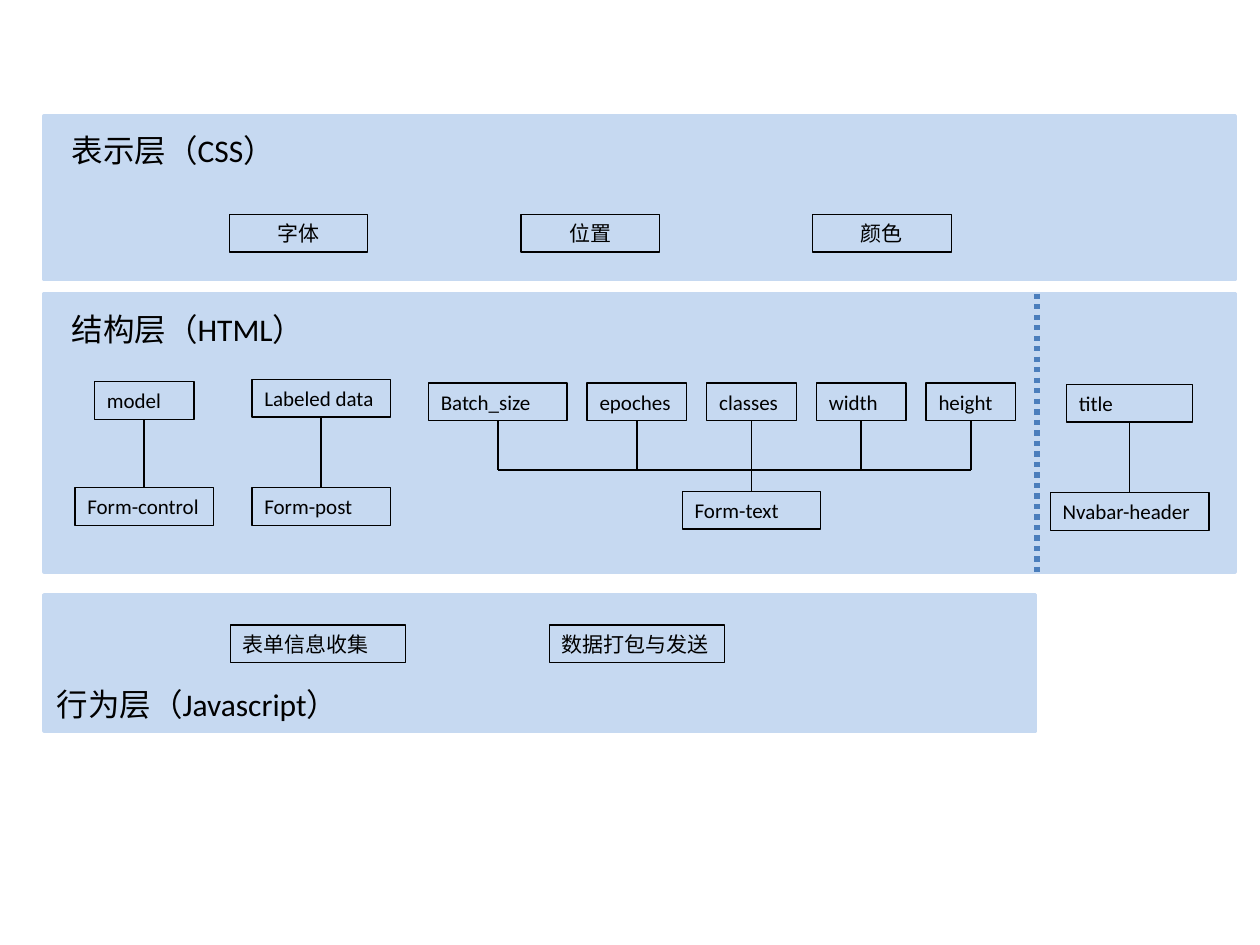
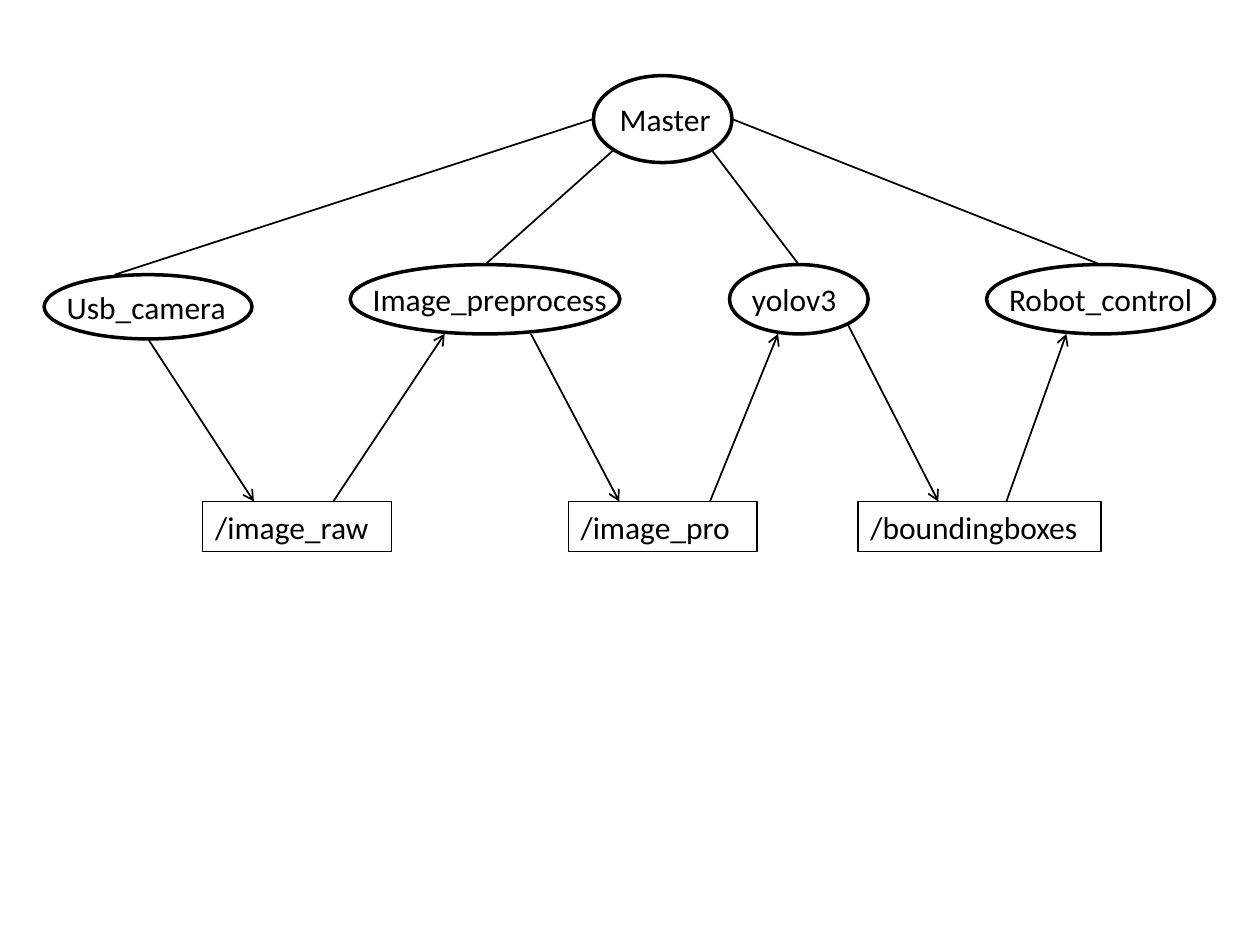
from collections import namedtuple

from lxml import etree
from pptx import Presentation
from pptx.dml.color import RGBColor
from pptx.enum.dml import MSO_LINE
from pptx.enum.shapes import MSO_CONNECTOR, MSO_SHAPE
from pptx.enum.text import MSO_ANCHOR, MSO_AUTO_SIZE, PP_ALIGN
from pptx.oxml.ns import qn
from pptx.util import Inches, Pt

RECTANGLE, ELLIPSE = MSO_SHAPE.RECTANGLE, MSO_SHAPE.OVAL
STRAIGHT = MSO_CONNECTOR.STRAIGHT
DOTTED = MSO_LINE.ROUND_DOT
LEFT, CENTER = PP_ALIGN.LEFT, PP_ALIGN.CENTER
FRAME_FORMAT = {
    "word_wrap": True,
    "auto_size": MSO_AUTO_SIZE.SHAPE_TO_FIT_TEXT,
    "vertical_anchor": MSO_ANCHOR.TOP,
}

SLIDE_WIDTH, SLIDE_HEIGHT = Inches(10), Inches(7.5)
COLUMN, ROW = SLIDE_WIDTH / 100, SLIDE_HEIGHT / 75  # grid cells

INK, PAPER, LAYER_BLUE, DIVIDER_BLUE = "000000", "FFFFFF", "C6D9F1", "4B7EBC"
FONT, TITLE_SIZE, LABEL_SIZE = "Calibri", 18, 12
BOX_HEIGHT, TITLE_HEIGHT = 3, 4

Box = namedtuple("Box", "x y w h")
Node = namedtuple("Node", "text box link_x out")
Topic = namedtuple("Topic", "text x w enter leave")

STYLE_LAYER = Box(3.5, 9.2, 94.5, 13)
STRUCTURE_LAYER = Box(3.5, 23.3, 94.5, 22.1)
BEHAVIOUR_LAYER = Box(3.5, 47.2, 78.7, 10.8)

MASTER = Box(47.1, 6, 11, 6.9)
# link_x: share of the width where the master's line ends; out: share where the arrow leaves
NODES = [
    Node("Usb_camera", Box(3.5, 21.8, 16.5, 5.1), 0.34, (0.5, 1)),
    Node("Image_preprocess", Box(27.8, 21, 21.4, 5.5), 0.5, (0.67, 1)),
    Node("yolov3", Box(57.9, 21, 11, 5.5), 0.5, (0.85, 0.85)),
    Node("Robot_control", Box(78.3, 21, 18.1, 5.5), 0.5, None),
]
MASTER_EXITS = [(0, 0.5), (0.15, 0.85), (0.85, 0.85), (1, 0.5)]
ARRIVAL = (0.35, 1)
TOPICS = [
    Topic("/image_raw", 16.1, 15, 0.27, 0.69),
    Topic("/image_pro", 45.1, 15, 0.27, 0.75),
    Topic("/boundingboxes", 68.1, 19.3, 0.33, 0.61),
]
TOPIC_ROW = 39.8


def color(hex_string):
    return RGBColor.from_string(hex_string)


def place(box):
    return [int(v) for v in (box.x * COLUMN, box.y * ROW, box.w * COLUMN, box.h * ROW)]


def point(box, share):
    return box.x + box.w * share[0], box.y + box.h * share[1]


def inside(outer, x, y, w, h):
    return Box(outer.x + x, outer.y + y, w, h)


def write(holder, text, size, align=LEFT):
    frame = holder.text_frame
    for key, value in FRAME_FORMAT.items():
        setattr(frame, key, value)
    paragraph = frame.paragraphs[0]
    paragraph.alignment = align
    run = paragraph.add_run()
    run.text = text
    for key, value in {"name": FONT, "size": Pt(size)}.items():
        setattr(run.font, key, value)
    run.font.color.rgb = color(INK)


def add_figure(slide, kind, box, fill=None, line=INK, width=0.75):
    figure = slide.shapes.add_shape(kind, *place(box))
    figure.shadow.inherit = False
    if fill:
        figure.fill.solid()
        figure.fill.fore_color.rgb = color(fill)
    else:
        figure.fill.background()
    figure.line.color.rgb = color(line)
    figure.line.width = Pt(width)
    return figure


def add_label(slide, box, text, size=LABEL_SIZE, align=LEFT):
    """Outlined box with text."""
    write(add_figure(slide, RECTANGLE, box), text, size, align)


def add_title(slide, box, text):
    write(slide.shapes.add_textbox(*place(box)), text, TITLE_SIZE)


def add_line(slide, start, end, line=INK, width=1, dash=None, arrow=False):
    ends = [int(v) for x, y in (start, end) for v in (x * COLUMN, y * ROW)]
    connector = slide.shapes.add_connector(STRAIGHT, *ends)
    connector.line.color.rgb = color(line)
    connector.line.width = Pt(width)
    if dash:
        connector.line.dash_style = dash
    properties = connector.element.spPr
    if arrow:
        etree.SubElement(properties.find(qn("a:ln")), qn("a:tailEnd"), type="arrow")
    etree.SubElement(properties, qn("a:effectLst"))


def add_layer(slide, layer):
    add_figure(slide, RECTANGLE, layer, LAYER_BLUE, LAYER_BLUE, 2)


def add_label_row(slide, layer, first, step, y, width, texts, align=LEFT):
    for i, text in enumerate(texts):
        add_label(slide, inside(layer, first + i * step, y, width, BOX_HEIGHT), text, align=align)


def style_layer(slide, layer):
    add_layer(slide, layer)
    add_label_row(slide, layer, 14.7, 23.15, 7.8, 11, ["字体", "位置", "颜色"], CENTER)
    add_title(slide, inside(layer, 1.2, 0.7, 20.9, TITLE_HEIGHT), "表示层（CSS）")


def behaviour_layer(slide, layer):
    add_layer(slide, layer)
    add_label_row(slide, layer, 14.8, 25.3, 2.4, 13.9, ["表单信息收集", "数据打包与发送"])
    add_title(slide, inside(layer, 0, 6.7, 27.5, TITLE_HEIGHT), "行为层（Javascript）")


def field_with_form(slide, layer, center, field, form, field_y=7, form_y=15.4):
    """A field above the form class it belongs to; each is (text, width)."""
    for (text, width), y in ((field, field_y), (form, form_y)):
        add_label(slide, inside(layer, center - width / 2, y, width, BOX_HEIGHT), text)
    x = layer.x + center
    add_line(slide, (x, layer.y + field_y + BOX_HEIGHT), (x, layer.y + form_y))


def text_fields(slide, layer, first=30.5, gap=1.6, field_y=7.1, bus_y=14, form_y=15.7):
    """Fields joined by one bus line to a single form class."""
    fields = [("Batch_size", 11), ("epoches", 7.9), ("classes", 7.1), ("width", 7.1), ("height", 7.1)]
    bus, centers, x = layer.y + bus_y, [], first
    for text, width in fields:
        field = inside(layer, x, field_y, width, BOX_HEIGHT)
        add_label(slide, field, text)
        bottom = point(field, (0.5, 1))
        add_line(slide, bottom, (bottom[0], bus))
        centers.append(bottom[0])
        x += width + gap
    add_line(slide, (centers[0], bus), (centers[-1], bus))
    stem = centers[len(centers) // 2]
    form = Box(stem - 5.5, layer.y + form_y, 11, BOX_HEIGHT)
    add_line(slide, (stem, bus), (stem, form.y))
    add_label(slide, form, "Form-text")


def structure_layer(slide, layer):
    add_layer(slide, layer)
    field_with_form(slide, layer, 7.95, ("model", 7.9), ("Form-control", 11))
    field_with_form(slide, layer, 22, ("Labeled data", 11), ("Form-post", 11), 6.8)
    field_with_form(slide, layer, 86.15, ("title", 10), ("Nvabar-header", 12.6), 7.2, 15.8)
    text_fields(slide, layer)
    divider = layer.x + 78.8
    add_line(slide, (divider, layer.y), (divider, layer.y + layer.h), DIVIDER_BLUE, 3, DOTTED)
    add_title(slide, inside(layer, 1.2, 0.8, 20.9, TITLE_HEIGHT), "结构层（HTML）")


def add_node(slide, box, text, indent=0.8):
    add_figure(slide, ELLIPSE, box, PAPER, INK, 2)
    top = (box.h - TITLE_HEIGHT) / 2
    add_title(slide, inside(box, indent, top, box.w, TITLE_HEIGHT), text)


def node_tree(slide):
    add_node(slide, MASTER, "Master", 1.1)
    for node, exit_share in zip(NODES, MASTER_EXITS):
        add_node(slide, node.box, node.text)
        add_line(slide, point(node.box, (node.link_x, 0)), point(MASTER, exit_share))


def topic_row(slide):
    """Each topic passes messages from one node to the next."""
    for topic, sender, receiver in zip(TOPICS, NODES, NODES[1:]):
        box = Box(topic.x, TOPIC_ROW, topic.w, TITLE_HEIGHT)
        add_label(slide, box, topic.text, TITLE_SIZE)
        add_line(slide, point(sender.box, sender.out), point(box, (topic.enter, 0)), arrow=True)
        add_line(slide, point(box, (topic.leave, 0)), point(receiver.box, ARRIVAL), arrow=True)


def main():
    deck = Presentation()
    deck.slide_width, deck.slide_height = SLIDE_WIDTH, SLIDE_HEIGHT
    blank = deck.slide_layouts[6]

    web_layers = deck.slides.add_slide(blank)
    structure_layer(web_layers, STRUCTURE_LAYER)
    behaviour_layer(web_layers, BEHAVIOUR_LAYER)
    style_layer(web_layers, STYLE_LAYER)

    robot_nodes = deck.slides.add_slide(blank)
    node_tree(robot_nodes)
    topic_row(robot_nodes)

    deck.save("out.pptx")


if __name__ == "__main__":
    main()
